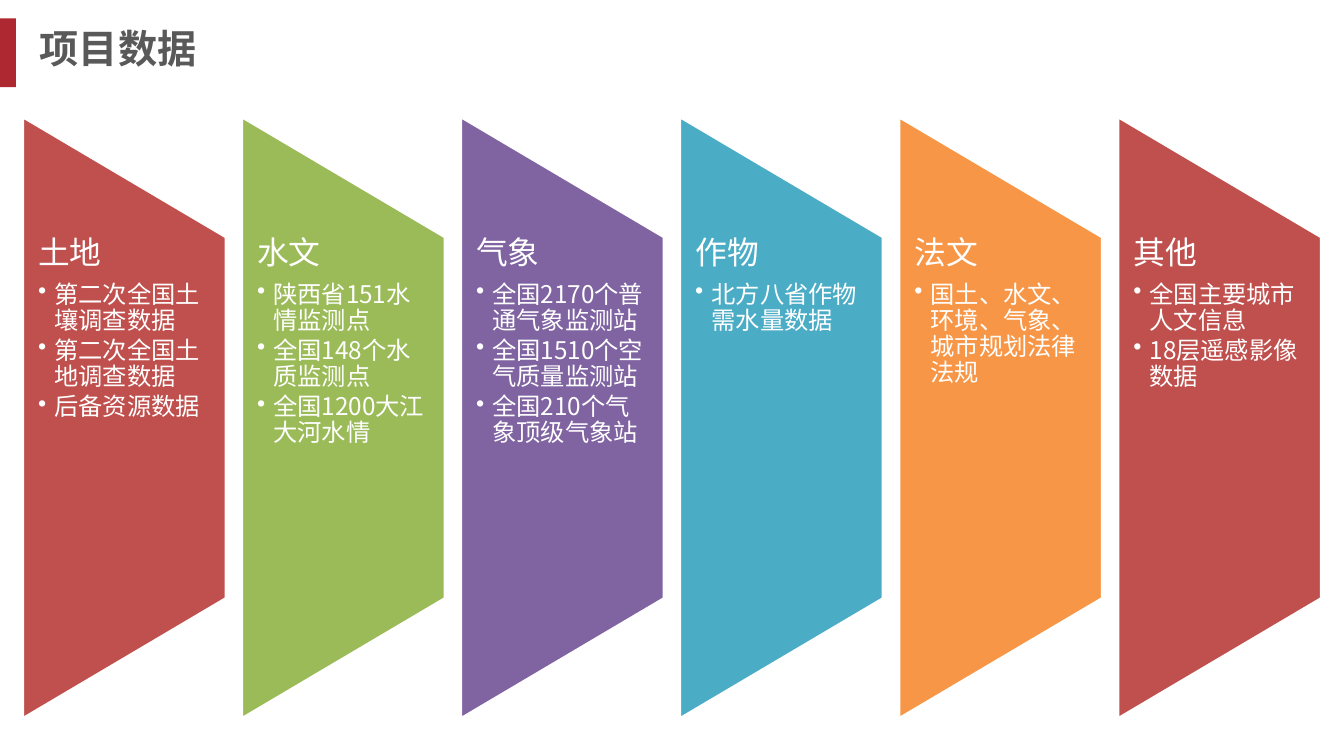
from lxml import etree
from pptx import Presentation
from pptx.dml.color import RGBColor
from pptx.enum import shapes, text
from pptx.oxml.ns import qn
from pptx.util import Cm, Pt

FONT = "Noto Sans CJK SC"
WHITE = RGBColor(0xFF, 0xFF, 0xFF)
GREY = RGBColor(0x59, 0x59, 0x59)
CRIMSON = RGBColor(0xAD, 0x28, 0x30)
RED = RGBColor(0xC0, 0x50, 0x4D)
GREEN = RGBColor(0x9B, 0xBB, 0x59)
PURPLE = RGBColor(0x80, 0x64, 0xA2)
TEAL = RGBColor(0x4B, 0xAC, 0xC6)
ORANGE = RGBColor(0xF7, 0x96, 0x46)

CATEGORIES = [
    ("土地", RED, ["第二次全国土壤调查数据", "第二次全国土地调查数据", "后备资源数据"]),
    ("水文", GREEN, ["陕西省151水情监测点", "全国148个水质监测点", "全国1200大江大河水情"]),
    ("气象", PURPLE, ["全国2170个普通气象监测站", "全国1510个空气质量监测站",
                    "全国210个气象顶级气象站"]),
    ("作物", TEAL, ["北方八省作物需水量数据"]),
    ("法文", ORANGE, ["国土、水文、环境、气象、城市规划法律法规"]),
    ("其他", RED, ["全国主要城市人文信息", "18层遥感影像数据"]),
]


def write(para, content, size, color=WHITE, bold=False, spacing=None, after=0, bullet=False):
    """Fill one paragraph with formatted text."""
    if bullet:
        para.level = 1
        props = para._p.get_or_add_pPr()
        props.set("marL", str(Cm(0.31)))
        props.set("indent", str(-Cm(0.31)))
        etree.SubElement(props, qn("a:buChar"), char="•")
    para.alignment = text.PP_ALIGN.LEFT
    para.space_before = Pt(0)
    para.space_after = Pt(after)
    if spacing:
        para.line_spacing = spacing
    span = para.add_run()
    span.text = content
    span.font.size = Pt(size)
    span.font.bold = bold
    span.font.color.rgb = color
    span.font.name = FONT
    etree.SubElement(span._r.get_or_add_rPr(), qn("a:ea"), typeface=FONT)


def set_frame(frame, side, top=0):
    """Wrap the text from the top and set its margins."""
    frame.word_wrap = True
    frame.auto_size = text.MSO_AUTO_SIZE.NONE
    frame.vertical_anchor = text.MSO_ANCHOR.TOP
    frame.margin_left = frame.margin_right = Cm(side)
    frame.margin_top, frame.margin_bottom = Cm(top), 0


def add_header(page, left, top, width, height):
    """Red marker at the page edge and the title beside it."""
    marker = page.shapes.add_shape(shapes.MSO_SHAPE.RECTANGLE, left, top, Cm(0.3), height)
    marker.shadow.inherit = False
    marker.fill.solid()
    marker.fill.fore_color.rgb = CRIMSON
    marker.line.fill.background()

    title = page.shapes.title
    title.left, title.top = left + Cm(0.5), top
    title.width, title.height = width - Cm(0.5), height
    set_frame(title.text_frame, 0.25, top=0.11)
    write(title.text_frame.paragraphs[0], "项目数据", 21, GREY, bold=True)


def add_category(page, left, top, width, height, name, color, items):
    """Coloured panel with a heading and a bulleted list."""
    # The panel is drawn lying down, then turned about its centre
    shift = (height - width) // 2
    panel = page.shapes.add_shape(shapes.MSO_SHAPE.FLOWCHART_MANUAL_OPERATION,
                                  left - shift, top + shift, height, width)
    panel.rotation = 270
    panel.shadow.inherit = False
    panel.fill.solid()
    panel.fill.fore_color.rgb = color
    panel.line.color.rgb = WHITE
    panel.line.width = Pt(2)

    # Text fills the middle three fifths of the panel
    box = page.shapes.add_textbox(left, top + height // 5, width, height * 3 // 5)
    frame = box.text_frame
    set_frame(frame, 0.3)
    write(frame.paragraphs[0], name, 17, spacing=0.9, after=6)
    for item in items:
        write(frame.add_paragraph(), item, 13, spacing=0.9, after=2, bullet=True)


def main():
    deck = Presentation()
    deck.slide_width, deck.slide_height = Cm(25.4), Cm(14.28)
    page = deck.slides.add_slide(deck.slide_layouts[5])
    add_header(page, 0, Cm(0.35), Cm(21.5), Cm(1.3))
    for index, category in enumerate(CATEGORIES):
        add_category(page, Cm(0.42) + index * Cm(4.14), Cm(2.19), Cm(3.86), Cm(11.4), *category)
    deck.save("out.pptx")


if __name__ == "__main__":
    main()
